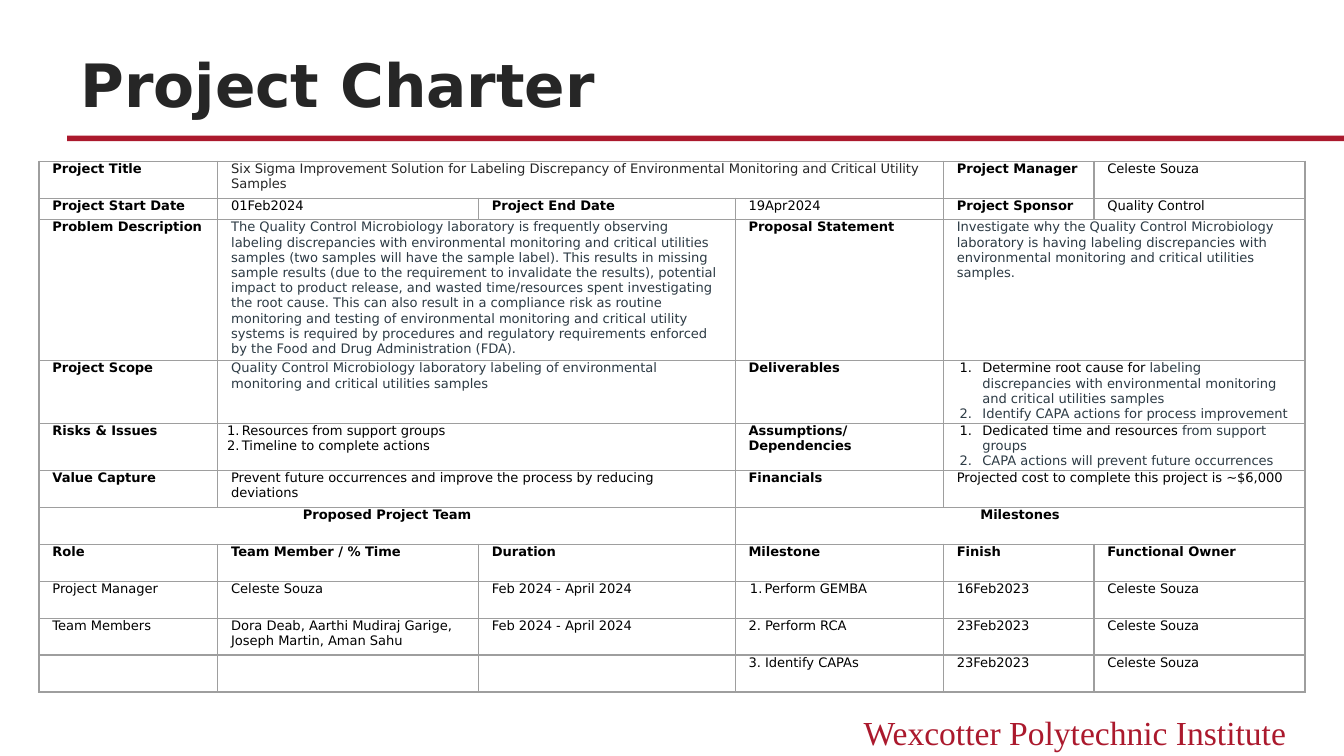
from lxml.etree import SubElement
from pptx import Presentation
from pptx.dml.color import RGBColor
from pptx.enum.shapes import MSO_SHAPE
from pptx.enum.text import MSO_ANCHOR, PP_ALIGN
from pptx.oxml.ns import qn
from pptx.util import Inches, Pt

RED, INK, SLATE, BLACK, GRAY = "AB192D", "262626", "2D3B45", "000000", "9E9E9E"
SANS, SERIF = "DejaVu Sans", "Times New Roman"

# Cell styles
STYLES = {
    "plain": {},
    "label": {"bold": True},
    "heading": {"bold": True, "align": PP_ALIGN.CENTER},
    "ink": {"color": INK},
    "slate": {"color": SLATE, "after": 5},
    "steps": {"indent": (0.19, -0.17)},
    "tight steps": {"indent": (0.12, -0.11)},
    "inset steps": {"indent": (0.12, -0.11), "margin": 0.06},
}

# Each cell is (style, content, columns spanned); numbered content is a list
# of paragraphs, each a list of (text, colour) runs
CHARTER = [
    [("label", "Project Title", 1),
     ("ink", "Six Sigma Improvement Solution for Labeling Discrepancy of "
             "Environmental Monitoring and Critical Utility Samples", 3),
     ("label", "Project Manager", 1), ("plain", "Celeste Souza", 1)],
    [("label", "Project Start Date", 1), ("plain", "01Feb2024", 1),
     ("label", "Project End Date", 1), ("plain", "19Apr2024", 1),
     ("label", "Project Sponsor", 1), ("plain", "Quality Control", 1)],
    [("label", "Problem Description", 1),
     ("slate", "The Quality Control Microbiology laboratory is frequently observing labeling "
               "discrepancies with environmental monitoring and critical utilities samples (two "
               "samples will have the sample label). This results in missing sample results (due "
               "to the requirement to invalidate the results), potential impact to product "
               "release, and wasted time/resources spent investigating the root cause. This can "
               "also result in a compliance risk as routine monitoring and testing of "
               "environmental monitoring and critical utility systems is required by procedures "
               "and regulatory requirements enforced by the Food and Drug Administration (FDA).", 2),
     ("label", "Proposal Statement", 1),
     ("slate", "Investigate why the Quality Control Microbiology laboratory is having labeling "
               "discrepancies with environmental monitoring and critical utilities samples.", 2)],
    [("label", "Project Scope", 1),
     ("slate", "Quality Control Microbiology laboratory labeling of environmental monitoring "
               "and critical utilities samples", 2),
     ("label", "Deliverables", 1),
     ("steps", [[("Determine root cause for ", BLACK),
                 ("labeling discrepancies with environmental monitoring and critical "
                  "utilities samples", SLATE)],
                [("Identify CAPA actions for process improvement", SLATE)]], 2)],
    [("label", "Risks & Issues", 1),
     ("inset steps", [[("Resources from support groups", BLACK)],
                      [("Timeline to complete actions", BLACK)]], 2),
     ("label", "Assumptions/Dependencies", 1),
     ("steps", [[("Dedicated time and resources", BLACK), (" from support groups", SLATE)],
                [("CAPA actions will prevent future occurrences", SLATE)]], 2)],
    [("label", "Value Capture", 1),
     ("plain", "Prevent future occurrences and improve the process by reducing deviations", 2),
     ("label", "Financials", 1),
     ("plain", "Projected cost to complete this project is ~$6,000", 2)],
    [("heading", "Proposed Project Team", 3), ("heading", "Milestones", 3)],
    [("label", name, 1) for name in ("Role", "Team Member / % Time", "Duration",
                                     "Milestone", "Finish", "Functional Owner")],
    [("plain", "Project Manager", 1), ("plain", "Celeste Souza", 1),
     ("plain", "Feb 2024 - April 2024", 1),
     ("tight steps", [[("Perform GEMBA", BLACK)]], 1),
     ("plain", "16Feb2023", 1), ("plain", "Celeste Souza", 1)],
    [("plain", "Team Members", 1),
     ("plain", "Dora Deab, Aarthi Mudiraj Garige, Joseph Martin, Aman Sahu", 1),
     ("plain", "Feb 2024 - April 2024", 1), ("plain", "2. Perform RCA", 1),
     ("plain", "23Feb2023", 1), ("plain", "Celeste Souza", 1)],
    [("plain", "", 1), ("plain", "", 1), ("plain", "", 1), ("plain", "3. Identify CAPAs", 1),
     ("plain", "23Feb2023", 1), ("plain", "Celeste Souza", 1)],
]
COLUMN_WIDTHS = [1.33, 1.94, 1.91, 1.55, 1.12, 1.57]
DATE_ROW, DATE_ROW_HEIGHT = 1, 0.16
OTHER_ROWS_HEIGHT = 2.75  # shared equally; long text lets a row grow

# Title and footer
BANNERS = [
    {"text": "Project Charter", "box": (0.5, 0.28, 9, 0.66), "anchor": MSO_ANCHOR.BOTTOM,
     "align": PP_ALIGN.LEFT, "font": (SANS, 32, INK, True)},
    {"text": "Wexcotter Polytechnic Institute", "box": (6, 5.25, 3.67, 0.4),
     "anchor": MSO_ANCHOR.TOP, "align": PP_ALIGN.RIGHT, "font": (SERIF, 18, RED, False)},
]


def rgb(value):
    return RGBColor.from_string(value)


def add_run(paragraph, text, name, size, color, bold):
    run = paragraph.add_run()
    run.text = text
    run.font.color.rgb = rgb(color)
    for key, value in {"name": name, "size": Pt(size), "bold": bold}.items():
        setattr(run.font, key, value)


def add_color(parent, tag, color):
    SubElement(SubElement(parent, qn(tag)), qn("a:srgbClr"), val=color)


def number(paragraph, indent, color):
    properties = paragraph._p.get_or_add_pPr()
    for key, value in zip(("marL", "indent"), indent):
        properties.set(key, str(Inches(value)))
    add_color(properties, "a:buClr", color)
    SubElement(properties, qn("a:buAutoNum"), type="arabicPeriod")


def prepare(cell):
    """Set margins, borders and no fill."""
    for side, margin in {"left": 0.1, "right": 0.1, "top": 0, "bottom": 0}.items():
        setattr(cell, f"margin_{side}", Inches(margin))
    properties = cell._tc.get_or_add_tcPr()
    for tag in ("a:lnL", "a:lnR", "a:lnT", "a:lnB"):
        border = SubElement(properties, qn(tag), w=str(Pt(0.75)))
        add_color(border, "a:solidFill", GRAY)
    cell.fill.background()


def end_small(paragraph):
    """Keep the paragraph mark as small as the text, so the row stays low."""
    mark = SubElement(paragraph._p, qn("a:endParaRPr"), sz="700")
    SubElement(mark, qn("a:latin"), typeface=SANS)


def write(cell, style, content):
    cell.margin_left = Inches(style.get("margin", 0.1))
    color = style.get("color", BLACK)
    paragraphs = content if isinstance(content, list) else [[(content, color)]]
    frame = cell.text_frame
    for i, runs in enumerate(paragraphs):
        paragraph = frame.add_paragraph() if i else frame.paragraphs[0]
        paragraph.alignment = style.get("align", PP_ALIGN.LEFT)
        if "after" in style:
            paragraph.space_after = Pt(style["after"])
        if "indent" in style:
            number(paragraph, style["indent"], runs[0][1])
        for text, run_color in runs:
            if text:
                add_run(paragraph, text, SANS, 7, run_color, style.get("bold", False))
        end_small(paragraph)


deck = Presentation()
deck.slide_width = Inches(10)
deck.slide_height = deck.slide_width * 9 // 16
slide = deck.slides.add_slide(deck.slide_layouts[6])

# Rule under the title
rule = slide.shapes.add_shape(MSO_SHAPE.RECTANGLE, *map(Inches, (0.5, 1.01, 9.5, 0.04)))
rule.shadow.inherit = False
rule.fill.solid()
rule.fill.fore_color.rgb = rgb(RED)
rule.line.fill.background()

for banner in BANNERS:
    frame = slide.shapes.add_textbox(*map(Inches, banner["box"])).text_frame
    frame.word_wrap = True
    frame.vertical_anchor = banner["anchor"]
    frame.paragraphs[0].alignment = banner["align"]
    add_run(frame.paragraphs[0], banner["text"], *banner["font"])

# Charter table
row_height = OTHER_ROWS_HEIGHT / (len(CHARTER) - 1)
charter = slide.shapes.add_table(
    len(CHARTER), len(COLUMN_WIDTHS), *map(Inches, (0.29, 1.2, 3.28, 3.28))).table
charter.first_row = charter.horz_banding = False
for column, width in zip(charter.columns, COLUMN_WIDTHS):
    column.width = Inches(width)
for r, row in enumerate(CHARTER):
    charter.rows[r].height = Inches(DATE_ROW_HEIGHT if r == DATE_ROW else row_height)
    for c in range(len(COLUMN_WIDTHS)):
        prepare(charter.cell(r, c))
    start = 0
    for style, content, span in row:
        write(charter.cell(r, start), STYLES[style], content)
        for c in range(start + 1, start + span):
            end_small(charter.cell(r, c).text_frame.paragraphs[0])
        if span > 1:
            charter.cell(r, start).merge(charter.cell(r, start + span - 1))
        start += span

deck.save("out.pptx")
